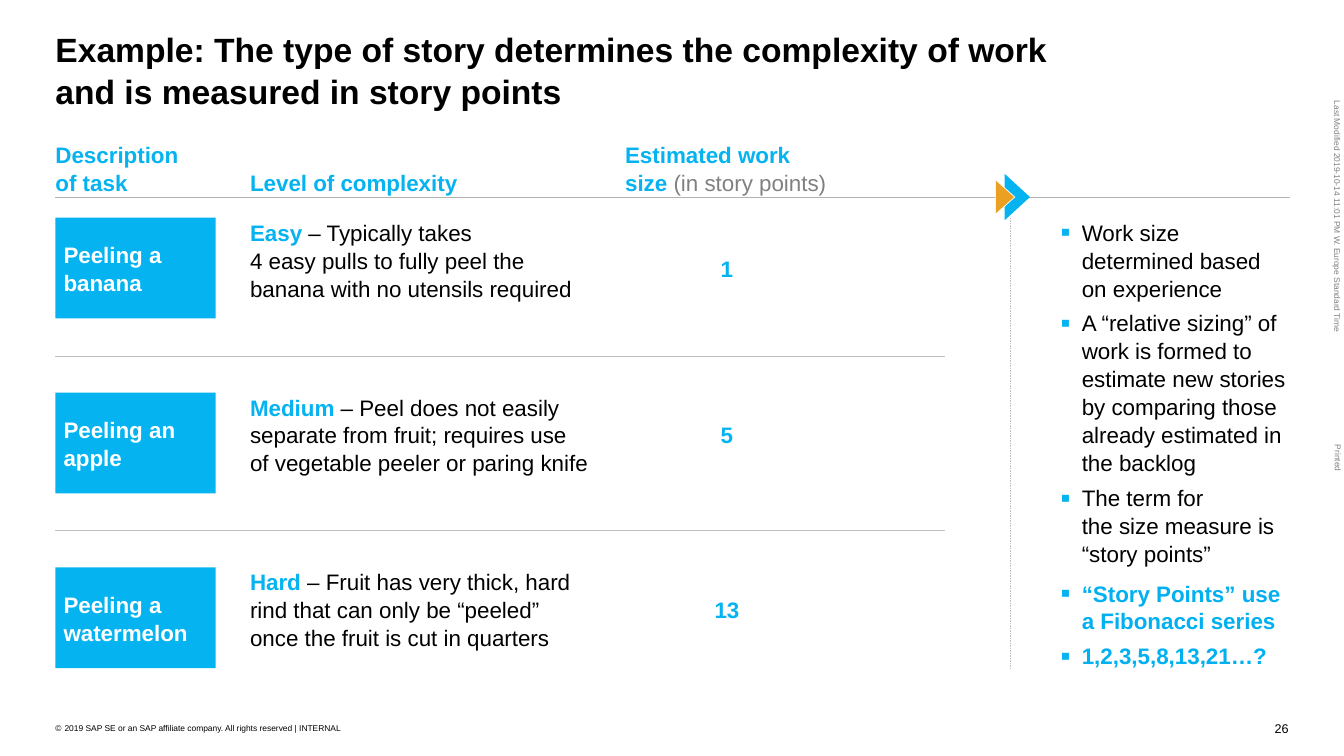
import pptx
import pptx.dml.color
import pptx.enum.dml
import pptx.enum.shapes
import pptx.enum.text
import pptx.oxml
import pptx.oxml.ns
import pptx.util
from lxml import etree

Inches = pptx.util.Inches
Pt = pptx.util.Pt
RGBColor = pptx.dml.color.RGBColor
SHAPE = pptx.enum.shapes.MSO_SHAPE
ANCHOR = pptx.enum.text.MSO_ANCHOR
ALIGN = pptx.enum.text.PP_ALIGN
DASH = pptx.enum.dml.MSO_LINE.DASH
qn = pptx.oxml.ns.qn

BLACK = RGBColor(0x00, 0x00, 0x00)
WHITE = RGBColor(0xFF, 0xFF, 0xFF)
BLUE = RGBColor(0x05, 0xB3, 0xF1)
BRIGHT = RGBColor(0x00, 0xB0, 0xF0)
ORANGE = RGBColor(0xEB, 0xA0, 0x22)
GRAY = RGBColor(0x80, 0x80, 0x80)
RULE = RGBColor(0xB3, 0xB3, 0xB3)
HAIR = RGBColor(0xBF, 0xBF, 0xBF)

# Grid in inches: column lefts, header rule, first row and row pitch
TASK, LEVEL, SIZE, NOTES, RIGHT = 0.55, 2.48, 6.2, 10.52, 12.79
TASK_W, LEVEL_W, NOTES_W = 1.59, 3.38, 2.26
HEAD, TOP, PITCH, ROW_H = 1.96, 2.16, 1.735, 1.0
BOTTOM = TOP + 2 * PITCH + ROW_H
SIZE_MID = 7.21

prs = pptx.Presentation()
prs.slide_width, prs.slide_height = Inches(13.33), Inches(7.5)
s = prs.slides.add_slide(prs.slide_layouts[5])


def write(tf, *paragraphs, size=16, color=BLACK, bold=False, align=ALIGN.LEFT,
          anchor=ANCHOR.TOP, margins=(0, 0, 0, 0), wrap=True, bullet=None,
          indent=0.21, bullet_size=125, bullet_color=BLUE, before=0):
    """Fill a frame; a paragraph is a string or a list of (text, color, bold)."""
    tf.auto_size = pptx.enum.text.MSO_AUTO_SIZE.NONE
    tf.word_wrap, tf.vertical_anchor = wrap, anchor
    tf.margin_left, tf.margin_top, tf.margin_right, tf.margin_bottom = map(Inches, margins)
    for i, runs in enumerate(paragraphs):
        p = tf.add_paragraph() if i else tf.paragraphs[0]
        p.alignment = align
        p.line_spacing = 1.04
        p.space_before = Pt(before if i else 0)
        if bullet:
            pPr = p._p.get_or_add_pPr()
            pPr.set("marL", str(Inches(indent)))
            pPr.set("indent", str(-Inches(indent)))
            clr = etree.SubElement(pPr, qn("a:buClr"))
            etree.SubElement(clr, qn("a:srgbClr"), val=str(bullet_color))
            etree.SubElement(pPr, qn("a:buSzPct"), val=str(bullet_size * 1000))
            etree.SubElement(pPr, qn("a:buFont"), typeface="Arial")
            etree.SubElement(pPr, qn("a:buChar"), char=bullet)
        for text, c, b in [(runs, color, bold)] if isinstance(runs, str) else runs:
            for j, line in enumerate(text.split("\n")):
                if j:
                    p.add_line_break()
                r = p.add_run()
                r.text = line
                r.font.name, r.font.size = "Arial", Pt(size)
                r.font.bold, r.font.color.rgb = b, c


def add_box(x, y, w, h, *paragraphs, **style):
    sp = s.shapes.add_textbox(Inches(x), Inches(y), Inches(w), Inches(h))
    write(sp.text_frame, *paragraphs, **style)
    return sp


# Title
title = s.shapes.title
title.left, title.top = Inches(TASK), Inches(0.27)
title.width, title.height = Inches(12.23), Inches(0.81)
write(title.text_frame, "Example: The type of story determines the complexity of work \n"
      "and is measured in story points", size=24, bold=True)

# Footer and side stamps
add_box(TASK, 7.17, 3.23, 0.1,
        "2019 SAP SE or an SAP affiliate company. All rights reserved | INTERNAL",
        size=6, bullet="©", indent=0.09, bullet_size=100, bullet_color=BLACK)
add_box(12.63, 7.15, 0.15, 0.15, "26", size=9, align=ALIGN.RIGHT, wrap=False)
for x, y, w, stamp in [
    (12.1, 2.12, 2.34, "Last Modified 2019-10-14 11:01 PM W. Europe Standard Time"),
    (13.14, 4.5, 0.27, "Printed"),
]:
    add_box(x, y, w, 0.1, stamp, size=6, color=GRAY, wrap=False).rotation = 90

# Rules
for x1, y1, x2, y2, color, weight, dash in [
    (RIGHT, HEAD, TASK, HEAD, RULE, 0.75, None),
    (TASK, 3.53, 9.37, 3.53, HAIR, 0.25, None),
    (TASK, 5.26, 9.37, 5.26, HAIR, 0.25, None),
    (10.02, TOP, 10.02, BOTTOM, HAIR, 0.25, DASH),
]:
    cx = s.shapes.add_connector(pptx.enum.shapes.MSO_CONNECTOR.STRAIGHT,
                                Inches(x1), Inches(y1), Inches(x2), Inches(y2))
    cx.line.color.rgb, cx.line.width = color, Pt(weight)
    if dash:
        cx.line.dash_style = dash
    etree.SubElement(cx._element.spPr, qn("a:effectLst"))

# Double arrow on the header rule
arrow = s.shapes.add_group_shape()
for x, y, w, h, color, outlined in [
    (9.86, 1.83, 0.46, 0.25, BLUE, False),
    (9.8, 1.86, 0.34, 0.19, ORANGE, True),
]:
    sp = arrow.shapes.add_shape(SHAPE.ISOSCELES_TRIANGLE,
                                Inches(x), Inches(y), Inches(w), Inches(h))
    sp.rotation = 90
    sp.shadow.inherit = False
    sp.fill.solid()
    sp.fill.fore_color.rgb = color
    if outlined:
        sp.line.color.rgb, sp.line.width = WHITE, Pt(0.5)
    else:
        sp.line.fill.background()

# Column headers
for x, w, h, header in [
    (TASK, TASK_W, 0.56, "Description \nof task"),
    (LEVEL, LEVEL_W, 0.29, "Level of complexity"),
    (SIZE, 2.02, 0.56, [("Estimated work \nsize ", BLUE, True),
                        ("(in story points)", GRAY, False)]),
]:
    add_box(x, HEAD - h, w, h, header, color=BLUE, bold=True,
            anchor=ANCHOR.BOTTOM, margins=(0, 0, 0, 0.02))

# Task rows
for i, (task, level, detail, points, drop) in enumerate([
    ("Peeling a banana", "Easy ",
     "– Typically takes \n4 easy pulls to fully peel the banana with no utensils required",
     "1", 0.36),
    ("Peeling an apple", "Medium ",
     "– Peel does not easily separate from fruit; requires use of vegetable peeler "
     "or paring knife", "5", 0.27),
    ("Peeling a watermelon", "Hard ",
     "– Fruit has very thick, hard rind that can only be “peeled” once the fruit "
     "is cut in quarters", "13", 0.27),
]):
    y = TOP + i * PITCH
    sp = s.shapes.add_shape(SHAPE.RECTANGLE, Inches(TASK), Inches(y),
                            Inches(TASK_W), Inches(ROW_H))
    sp.shadow.inherit = False
    sp.fill.solid()
    sp.fill.fore_color.rgb = BLUE
    sp.line.fill.background()
    write(sp.text_frame, task, color=WHITE, bold=True, anchor=ANCHOR.MIDDLE,
          margins=(0.08, 0.08, 0.08, 0.08))
    add_box(LEVEL, y, LEVEL_W, 0.81, [(level, BLUE, True), (detail, BLACK, False)])
    w = 0.12 * len(points)
    add_box(SIZE_MID - w / 2, y + drop, w, 0.27, points, color=BLUE, bold=True,
            align=ALIGN.CENTER, wrap=False)

# Notes column
add_box(NOTES, TOP, NOTES_W, 3.37,
        "Work size determined based on experience",
        "A “relative sizing” of work is formed to estimate new stories by comparing "
        "those already estimated in the backlog",
        "The term for \nthe size measure is “story points”",
        bullet="▪", before=5)
add_box(NOTES, 5.75, NOTES_W, 0.88, "“Story Points” use a Fibonacci series",
        "1,2,3,5,8,13,21…?", color=BRIGHT, bold=True, anchor=ANCHOR.MIDDLE,
        bullet="▪", before=5)

prs.save("out.pptx")
